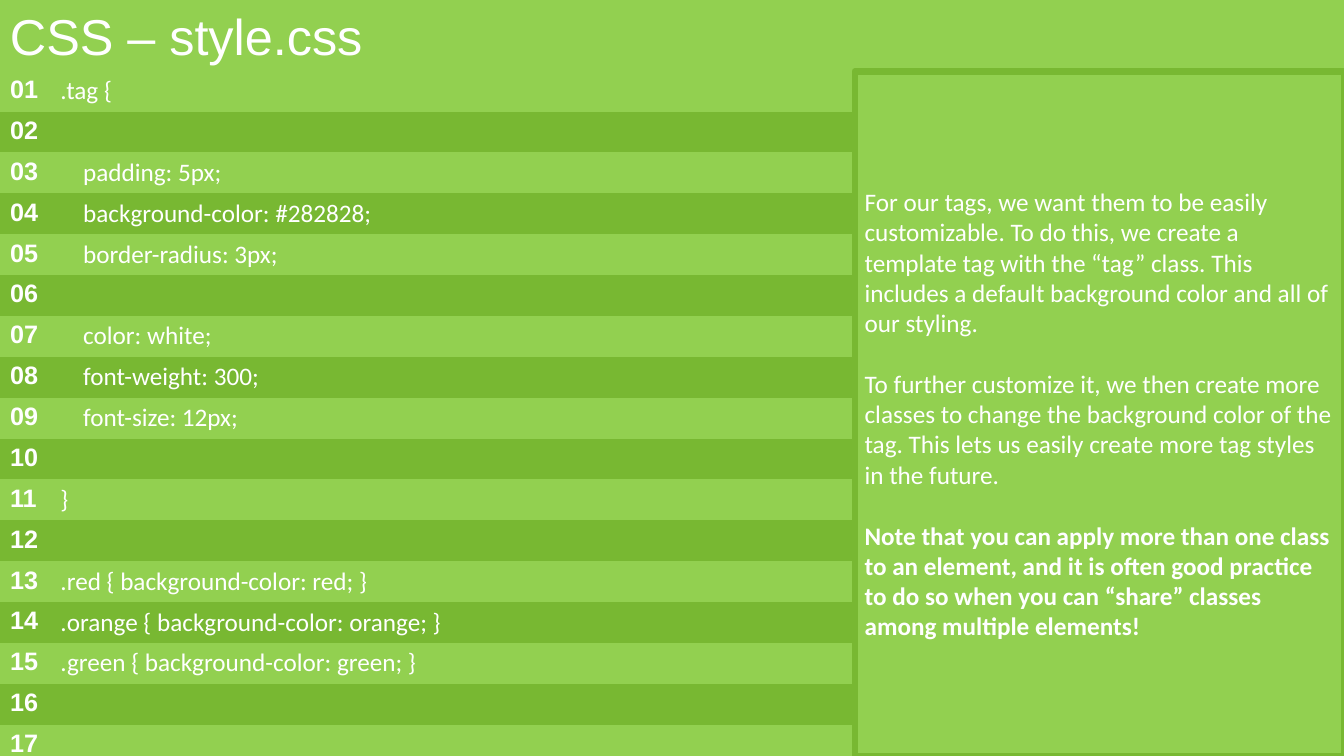
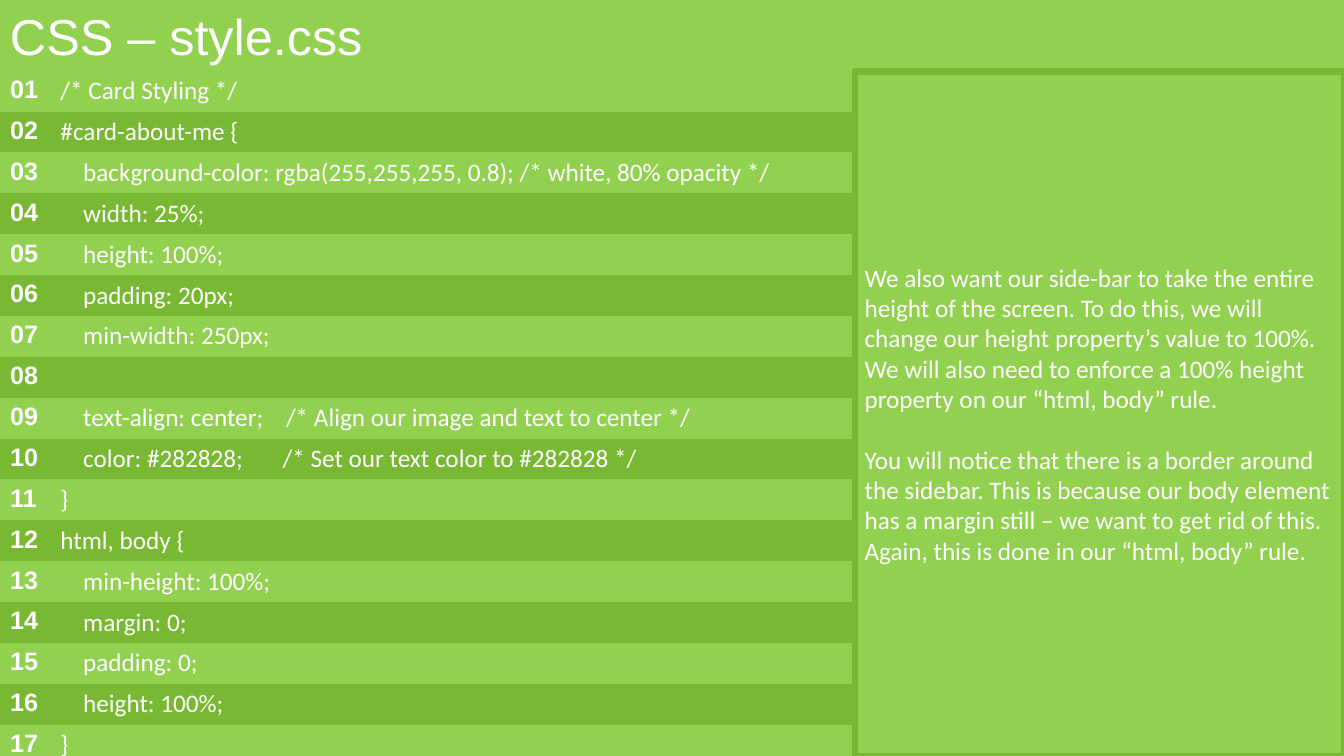
from collections import namedtuple
from dataclasses import dataclass

from pptx import Presentation
from pptx.dml.color import RGBColor
from pptx.enum.dml import MSO_PATTERN
from pptx.enum.shapes import MSO_SHAPE
from pptx.enum.text import MSO_ANCHOR, MSO_AUTO_SIZE, PP_ALIGN
from pptx.oxml.ns import qn
from pptx.util import Cm, Pt

RECTANGLE = MSO_SHAPE.RECTANGLE
TOP, MIDDLE = MSO_ANCHOR.TOP, MSO_ANCHOR.MIDDLE
LEFT = PP_ALIGN.LEFT
GROW = MSO_AUTO_SIZE.SHAPE_TO_FIT_TEXT
DOTS = MSO_PATTERN.PERCENT_5
NO_GRID_STYLE = "{2D5ABB26-0587-4C30-8999-92F81FD0307C}"

Box = namedtuple("Box", "left top width height")


@dataclass(frozen=True)
class Theme:
    light: RGBColor = RGBColor(0x92, 0xD0, 0x50)
    dark: RGBColor = RGBColor(0x78, 0xB8, 0x32)
    text: RGBColor = RGBColor(0xFF, 0xFF, 0xFF)
    dots: RGBColor = RGBColor(0x5B, 0x9B, 0xD5)
    heading_font: str = "Arial"
    body_font: str = "Calibri"
    title_size: int = 36
    body_size: int = 18
    paragraph_gap: int = 22
    border: float = 4.5


THEME = Theme()
TITLE_FORMAT = {"name": THEME.heading_font, "size": Pt(THEME.title_size), "bold": False}
NUMBER_FORMAT = {"name": THEME.heading_font, "size": Pt(THEME.body_size), "bold": True}
BODY_FORMAT = {"name": THEME.body_font, "size": Pt(THEME.body_size), "bold": False}
NOTE_FORMAT = {**BODY_FORMAT, "bold": True}

PAGE_WIDTH, PAGE_HEIGHT = 33.87, 19.05
HEADER_HEIGHT = 1.8
TABLE_TOP = 1.78
TABLE_WIDTH = 23.8
PANEL_LEFT = 21.54
NUMBER_WIDTH = 1.27
ROW_HEIGHT = 1.03

TITLE_BOX = Box(0, 0, PAGE_WIDTH, HEADER_HEIGHT)
CODE_BOX = Box(0, TABLE_TOP, TABLE_WIDTH, PAGE_HEIGHT - TABLE_TOP)
PANEL_BOX = Box(PANEL_LEFT, HEADER_HEIGHT, PAGE_WIDTH - PANEL_LEFT, PAGE_HEIGHT - HEADER_HEIGHT)

TAG_CODE = [
    ".tag {",
    "",
    "    padding: 5px;",
    "    background-color: #282828;",
    "    border-radius: 3px;",
    "",
    "    color: white;",
    "    font-weight: 300;",
    "    font-size: 12px;",
    "",
    "}",
    "",
    ".red { background-color: red; }",
    ".orange { background-color: orange; }",
    ".green { background-color: green; }",
    "",
    "",
]
TAG_NOTES = [
    ("For our tags, we want them to be easily customizable. To do this, we create a template "
     "tag with the “tag” class. This includes a default background color and all of our "
     "styling.", BODY_FORMAT),
    ("To further customize it, we then create more classes to change the background color of "
     "the tag. This lets us easily create more tag styles in the future.", BODY_FORMAT),
    ("Note that you can apply more than one class to an element, and it is often good practice "
     "to do so when you can “share” classes among multiple elements!", NOTE_FORMAT),
]
CARD_CODE = [
    "/* Card Styling */",
    "#card-about-me {",
    "    background-color: rgba(255,255,255, 0.8); /* white, 80% opacity */",
    "    width: 25%;",
    "    height: 100%;",
    "    padding: 20px;",
    "    min-width: 250px;",
    "",
    "    text-align: center;    /* Align our image and text to center */",
    "    color: #282828;       /* Set our text color to #282828 */",
    "}",
    "html, body {",
    "    min-height: 100%;",
    "    margin: 0;",
    "    padding: 0;",
    "    height: 100%;",
    "}",
]
CARD_NOTES = [
    ("We also want our side-bar to take the entire height of the screen. To do this, we will "
     "change our height property’s value to 100%. We will also need to enforce a 100% height "
     "property on our “html, body” rule.", BODY_FORMAT),
    ("You will notice that there is a border around the sidebar. This is because our body "
     "element has a margin still – we want to get rid of this. Again, this is done in our "
     "“html, body” rule.", BODY_FORMAT),
]


def write(para, text, text_format):
    para.alignment = LEFT
    span = para.add_run()
    span.text = text
    for attribute, value in text_format.items():
        setattr(span.font, attribute, value)
    span.font.color.rgb = THEME.text


def paint(target, color):
    target.fill.solid()
    target.fill.fore_color.rgb = color


def add_rectangle(page, box, anchor):
    shape = page.shapes.add_shape(RECTANGLE, *map(Cm, box))
    shape.shadow.inherit = False
    paint(shape, THEME.light)
    shape.text_frame.word_wrap = True
    shape.text_frame.vertical_anchor = anchor
    return shape


def add_title(page, box, text):
    band = add_rectangle(page, box, TOP)
    band.line.fill.background()
    band.text_frame.auto_size = GROW
    write(band.text_frame.paragraphs[0], text, TITLE_FORMAT)


def add_code(page, box, lines):
    table = page.shapes.add_table(len(lines), 2, *map(Cm, box)).table
    table.first_row = table.horz_banding = False
    table._tbl.tblPr.find(qn("a:tableStyleId")).text = NO_GRID_STYLE
    for column, width in zip(table.columns, (NUMBER_WIDTH, box.width - NUMBER_WIDTH)):
        column.width = Cm(width)
    for index, line in enumerate(lines):
        last = index == len(lines) - 1
        table.rows[index].height = Cm(box.height - ROW_HEIGHT * index if last else ROW_HEIGHT)
        entries = ((f"{index + 1:02}", NUMBER_FORMAT), (line, BODY_FORMAT))
        for column, (text, text_format) in enumerate(entries):
            cell = table.cell(index, column)
            paint(cell, THEME.dark if index % 2 else THEME.light)
            if text:
                write(cell.text_frame.paragraphs[0], text, text_format)


def add_panel(page, box, notes):
    panel = add_rectangle(page, box, MIDDLE)
    panel.line.color.rgb = THEME.dark
    panel.line.width = Pt(THEME.border)
    frame = panel.text_frame
    for index, (text, text_format) in enumerate(notes):
        para = frame.add_paragraph() if index else frame.paragraphs[0]
        if index:
            para.space_before = Pt(THEME.paragraph_gap)
        write(para, text, text_format)


def add_code_page(deck, title, lines, notes):
    page = deck.slides.add_slide(deck.slide_layouts[6])
    backdrop = page.background.fill
    backdrop.patterned()
    backdrop.pattern = DOTS
    backdrop.fore_color.rgb = THEME.dots
    backdrop.back_color.rgb = THEME.text
    add_code(page, CODE_BOX, lines)
    add_title(page, TITLE_BOX, title)
    add_panel(page, PANEL_BOX, notes)


def main():
    deck = Presentation()
    deck.slide_width, deck.slide_height = Cm(PAGE_WIDTH), Cm(PAGE_HEIGHT)
    for lines, notes in ((TAG_CODE, TAG_NOTES), (CARD_CODE, CARD_NOTES)):
        add_code_page(deck, "CSS – style.css", lines, notes)
    deck.save("out.pptx")


if __name__ == "__main__":
    main()
